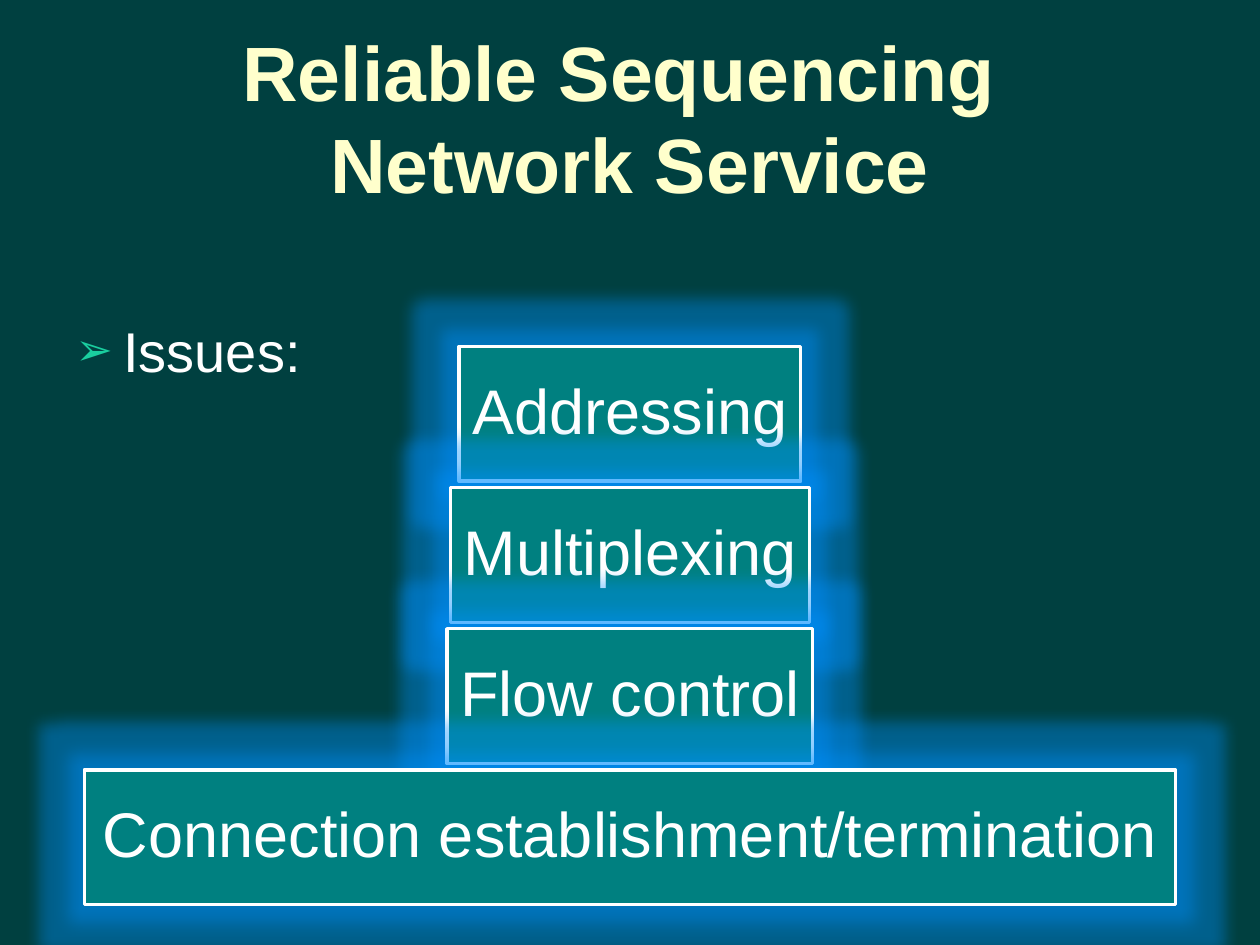
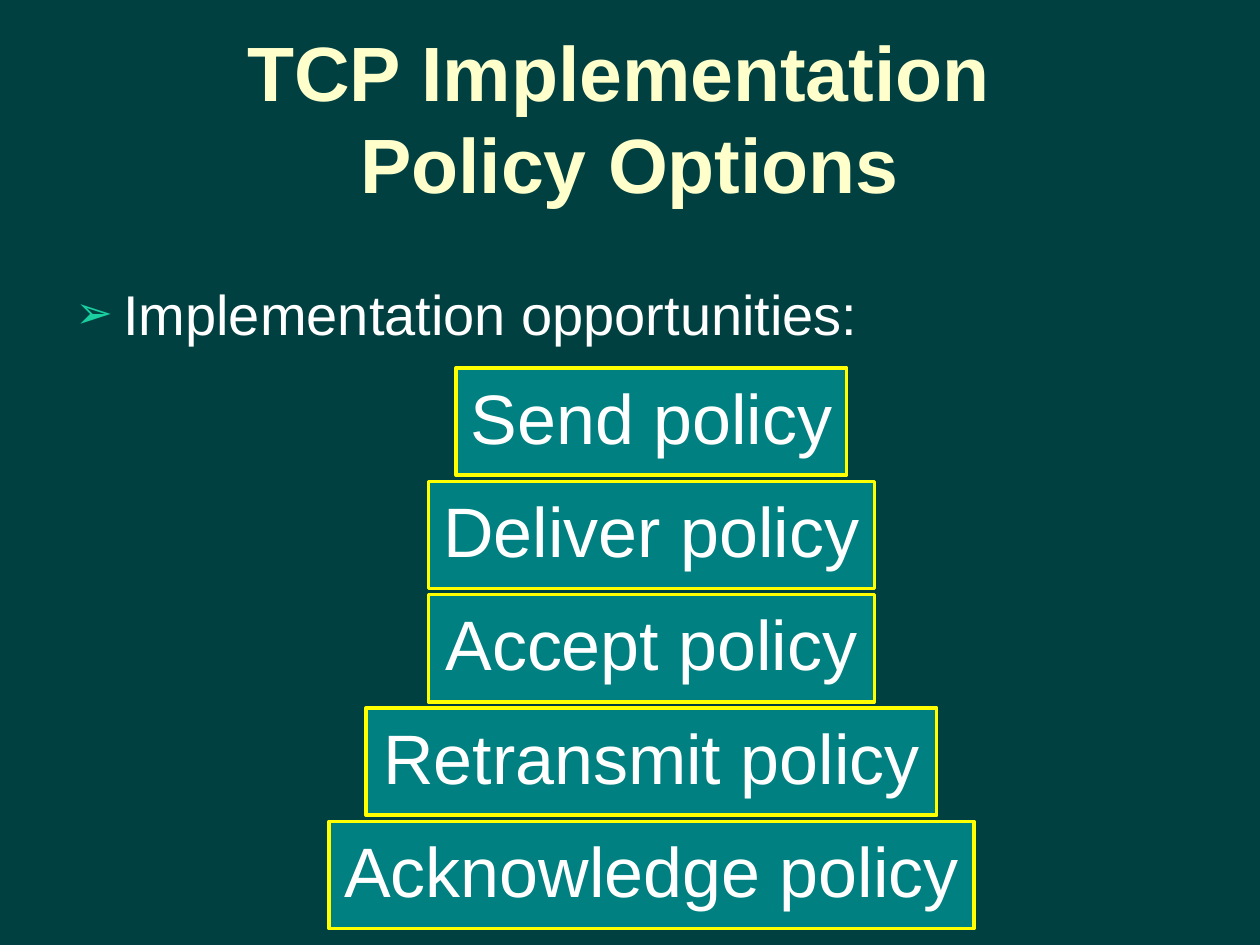
from lxml.etree import SubElement
from pptx import Presentation
from pptx.dml.color import RGBColor
from pptx.enum.shapes import MSO_SHAPE
from pptx.enum.text import MSO_ANCHOR, PP_ALIGN
from pptx.oxml.ns import qn
from pptx.util import Inches, Pt

FONT = "Arial"
BACKGROUND, BOX_FILL = "004040", "008080"
TITLE, WHITE, YELLOW = "FFFFCC", "FFFFFF", "FFFF00"
BULLET, GLOW = "1ACE9F", "0090FF"


def rgb(value):
    return RGBColor.from_string(value)


def add_text(p, text, color, **formats):
    """Add text to a paragraph; a newline becomes a line break."""
    for i, line in enumerate(text.split("\n")):
        if i:
            p.add_line_break()
        r = p.add_run()
        r.text = line
        r.font.color.rgb = rgb(color)
        for name, value in {"name": FONT, **formats}.items():
            setattr(r.font, name, value)


def add_textbox(s, box):
    tf = s.shapes.add_textbox(*map(Inches, box)).text_frame
    tf.word_wrap = True
    return tf


def add_title(s, text):
    tf = add_textbox(s, (0.5, 0.3, 9, 1.25))
    tf.vertical_anchor = MSO_ANCHOR.MIDDLE
    p = tf.paragraphs[0]
    p.alignment = PP_ALIGN.CENTER
    add_text(p, text, TITLE, size=Pt(44), bold=True)


def add_bullet(s, text, top):
    p = add_textbox(s, (0.5, top, 9, 0.7)).paragraphs[0]
    p.space_before = Pt(6.4)
    pPr = p._p.get_or_add_pPr()
    pPr.set("marL", str(Inches(0.38)))
    pPr.set("indent", str(-Inches(0.38)))
    color = SubElement(pPr, qn("a:buClr"))
    SubElement(color, qn("a:srgbClr"), val=BULLET)
    SubElement(pPr, qn("a:buSzPct"), val="80000")
    SubElement(pPr, qn("a:buFont"), typeface=FONT)
    SubElement(pPr, qn("a:buChar"), char="➢")
    add_text(p, text, WHITE, size=Pt(32))


def add_glow(sp):
    effects = sp._element.spPr.find(qn("a:effectLst"))
    glow = SubElement(effects, qn("a:glow"), rad=str(Inches(0.25)))
    color = SubElement(glow, qn("a:srgbClr"), val=GLOW)
    SubElement(color, qn("a:alpha"), val="40000")


def add_pyramid(s, rows, center, top, height, pitch, line, size, glow=False):
    """Stack centred boxes, given as (label, width), at an equal pitch."""
    for i, (label, width) in enumerate(rows):
        box = (center - width / 2, top + i * pitch, width, height)
        sp = s.shapes.add_shape(MSO_SHAPE.RECTANGLE, *map(Inches, box))
        sp.shadow.inherit = False
        sp.fill.solid()
        sp.fill.fore_color.rgb = rgb(BOX_FILL)
        sp.line.color.rgb = rgb(line)
        sp.line.width = Pt(2)
        if glow:
            add_glow(sp)
        tf = sp.text_frame
        tf.word_wrap = False
        tf.vertical_anchor = MSO_ANCHOR.MIDDLE
        for side in ("left", "top", "right", "bottom"):
            setattr(tf, f"margin_{side}", Inches(0.1))
        p = tf.paragraphs[0]
        p.alignment = PP_ALIGN.CENTER
        p.line_spacing = 0.9
        add_text(p, label, WHITE, size=Pt(size))


def add_pyramid_slide(prs, title, bullet, bullet_top, rows, **pyramid):
    s = prs.slides.add_slide(prs.slide_layouts[6])
    s.background.fill.solid()
    s.background.fill.fore_color.rgb = rgb(BACKGROUND)
    add_title(s, title)
    add_bullet(s, bullet, bullet_top)
    add_pyramid(s, rows, **pyramid)


def main():
    prs = Presentation()
    prs.slide_width, prs.slide_height = Inches(10), Inches(7.5)

    # Network service issues
    add_pyramid_slide(
        prs, "Reliable Sequencing \nNetwork Service", "Issues:", 2.46,
        [("Addressing", 2.71), ("Multiplexing", 2.85), ("Flow control", 2.9),
         ("Connection establishment/termination", 8.66)],
        center=5, top=2.75, height=1.07, pitch=1.12,
        line=WHITE, size=36, glow=True)

    # TCP policies
    add_pyramid_slide(
        prs, "TCP Implementation \nPolicy Options",
        "Implementation opportunities:", 2.17,
        [("Send policy", 3.1), ("Deliver policy", 3.54),
         ("Accept policy", 3.54), ("Retransmit policy", 4.53),
         ("Acknowledge policy", 5.12)],
        center=5.17, top=2.92, height=0.85, pitch=0.9,
        line=YELLOW, size=40)

    prs.save("out.pptx")


if __name__ == "__main__":
    main()
